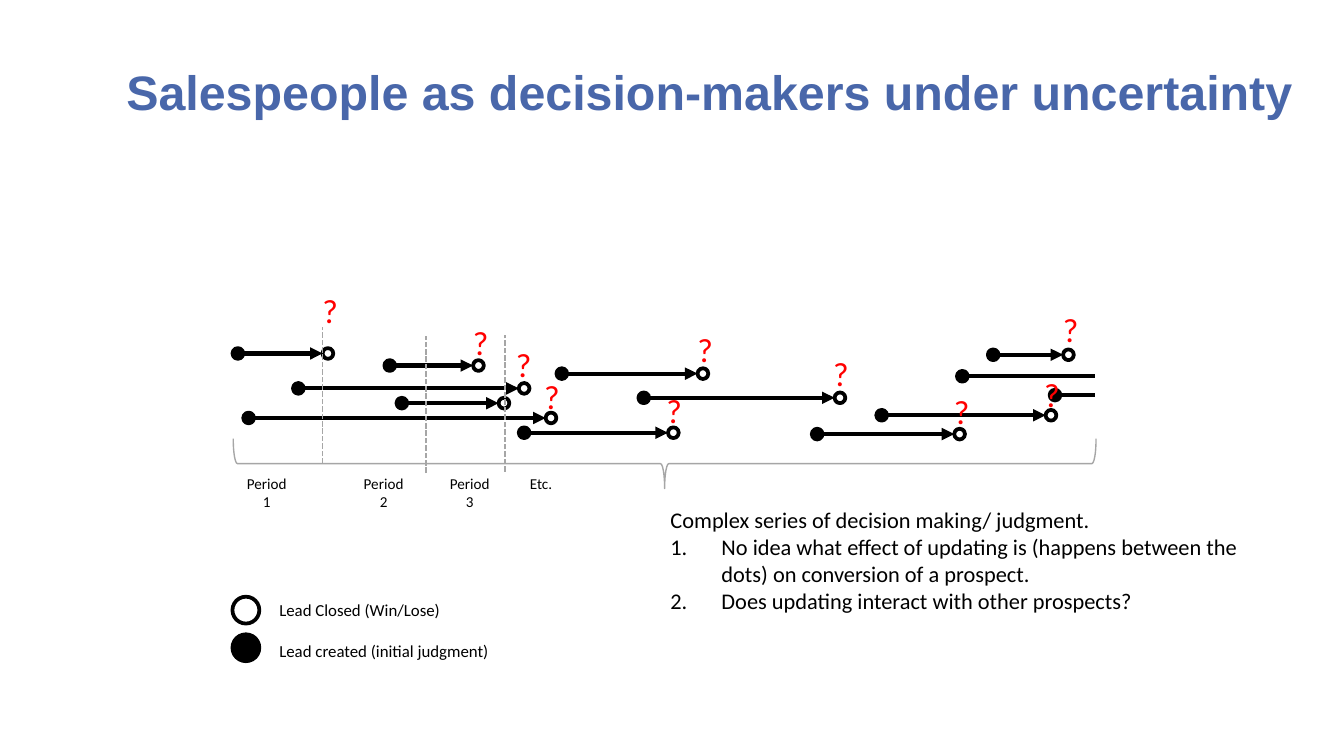
from pptx import Presentation
from pptx import util as u
from pptx.dml.color import RGBColor
from pptx.enum import dml, shapes, text
from pptx.oxml.ns import qn
from lxml import etree

BLACK = RGBColor(0, 0, 0)
WHITE = RGBColor(255, 255, 255)
BLUE = RGBColor(0x49, 0x67, 0xAA)
RED = RGBColor(255, 0, 0)
GRAY = RGBColor(0xA6, 0xA6, 0xA6)

deck = Presentation()
deck.slide_width = u.Inches(10)
deck.slide_height = deck.slide_width * 9 // 16
slide = deck.slides.add_slide(deck.slide_layouts[6])
COL = deck.slide_width / 10


def grid(*cells):
    return [round(cell * COL) for cell in cells]


def write(words, x, y, w, h, size=9, color=BLACK, face="Calibri",
          bold=False, align=text.PP_ALIGN.LEFT, pad=(0.1, 0.05), listed=False):
    box = slide.shapes.add_textbox(*grid(x, y, w, h))
    frame = box.text_frame
    frame.word_wrap = True
    frame.margin_left, frame.margin_top = grid(*pad)
    frame.margin_right, frame.margin_bottom = grid(*pad)
    for n, line in enumerate(words.split("\n")):
        para = frame.add_paragraph() if n else frame.paragraphs[0]
        para.alignment = align
        if listed and n:
            props = para._p.get_or_add_pPr()
            indent = grid(0.38)[0]
            props.set("marL", str(indent))
            props.set("indent", str(-indent))
            etree.SubElement(props, qn("a:buFont"), typeface="+mj-lt")
            etree.SubElement(props, qn("a:buAutoNum"), type="arabicPeriod")
        run = para.add_run()
        run.text = line
        font = run.font
        font.name, font.size, font.bold = face, u.Pt(size), bold
        font.color.rgb = color


def link(x1, y1, x2, y2, color=BLACK, width=2.25, dash=None, arrow=False):
    line = slide.shapes.add_connector(
        shapes.MSO_CONNECTOR.STRAIGHT, *grid(x1, y1, x2, y2))
    line.line.color.rgb = color
    line.line.width = u.Pt(width)
    if dash:
        line.line.dash_style = dash
    if arrow:
        etree.SubElement(line.line._get_or_add_ln(), qn("a:tailEnd"), type="triangle")
    etree.SubElement(line._element.spPr, qn("a:effectLst"))


write("Salespeople as decision-makers under uncertainty", 0.94, 0.46, 8.81, 0.71,
      size=25.9, color=BLUE, face="Arial", bold=True, pad=(0, 0))

DOT = 0.08
KEY = 0.2
leads = [
    (1.81, 3.07, 4.06), (2.18, 2.85, 3.86), (2.95, 2.96, 3.71),
    (3.86, 3.18, 4.97), (4.14, 2.74, 5.19), (4.75, 2.92, 6.21),
    (6.04, 3.19, 7.1), (6.52, 3.05, 7.78), (7.35, 2.6, 7.91),
    (2.86, 2.68, 3.52), (1.73, 2.59, 2.4),
]
open_leads = [(7.12, 2.76), (7.81, 2.9)]
END = 8.15

dots = [(1.73, 4.72, KEY, BLACK), (1.73, 4.44, KEY, WHITE)]
for x, y, stop in leads:
    dots += [(x, y, DOT, BLACK), (stop, y, DOT, WHITE)]
    link(x + DOT, y + DOT / 2, stop, y + DOT / 2, arrow=True)
for x, y in open_leads:
    dots.append((x, y, DOT, BLACK))
    link(x + DOT, y + DOT / 2, END, y + DOT / 2)

for x, y, size, fill in dots:
    dot = slide.shapes.add_shape(shapes.MSO_SHAPE.OVAL, *grid(x, y, size, size))
    dot.shadow.inherit = False
    dot.fill.solid()
    dot.fill.fore_color.rgb = fill
    dot.line.color.rgb = BLACK
    dot.line.width = u.Pt(2)

brace = slide.shapes.add_shape(
    shapes.MSO_SHAPE.RIGHT_BRACE, *grid(4.76, 0.24, 0.37, 6.42))
brace.rotation = 90
brace.shadow.inherit = False
brace.fill.background()
brace.line.color.rgb = GRAY
brace.line.width = u.Pt(0.75)

for x, y in [(2.4, 3.45), (3.17, 3.52), (3.76, 3.51)]:
    link(x, y, x, y - 1.02, GRAY, 1, dml.MSO_LINE.SQUARE_DOT)

for label, x in [("Period 1", 1.73), ("Period 2", 2.6),
                 ("Period 3", 3.24), ("Etc.", 3.77)]:
    write(label, x, 3.48, 0.51, 0.37, size=8.1, align=text.PP_ALIGN.CENTER)

for x, y in [(2.3, 2.11), (3.95, 2.75), (3.42, 2.35), (5.09, 2.4), (6.1, 2.58),
             (7.81, 2.25), (3.74, 2.51), (4.86, 2.85), (7, 2.86), (7.67, 2.73)]:
    write("?", x, y, 0.34, 0.4, size=18, color=RED)

write("Lead Closed (Win/Lose)", 1.98, 4.41, 1.44, 0.25)
write("Lead created (initial judgment)", 1.98, 4.72, 2.31, 0.25)
write("Complex series of decision making/ judgment.\n"
      "No idea what effect of updating is (happens between the dots) "
      "on conversion of a prospect.\n"
      "Does updating interact with other prospects?",
      4.89, 3.72, 4.46, 0.91, size=12, listed=True)

deck.save("out.pptx")
